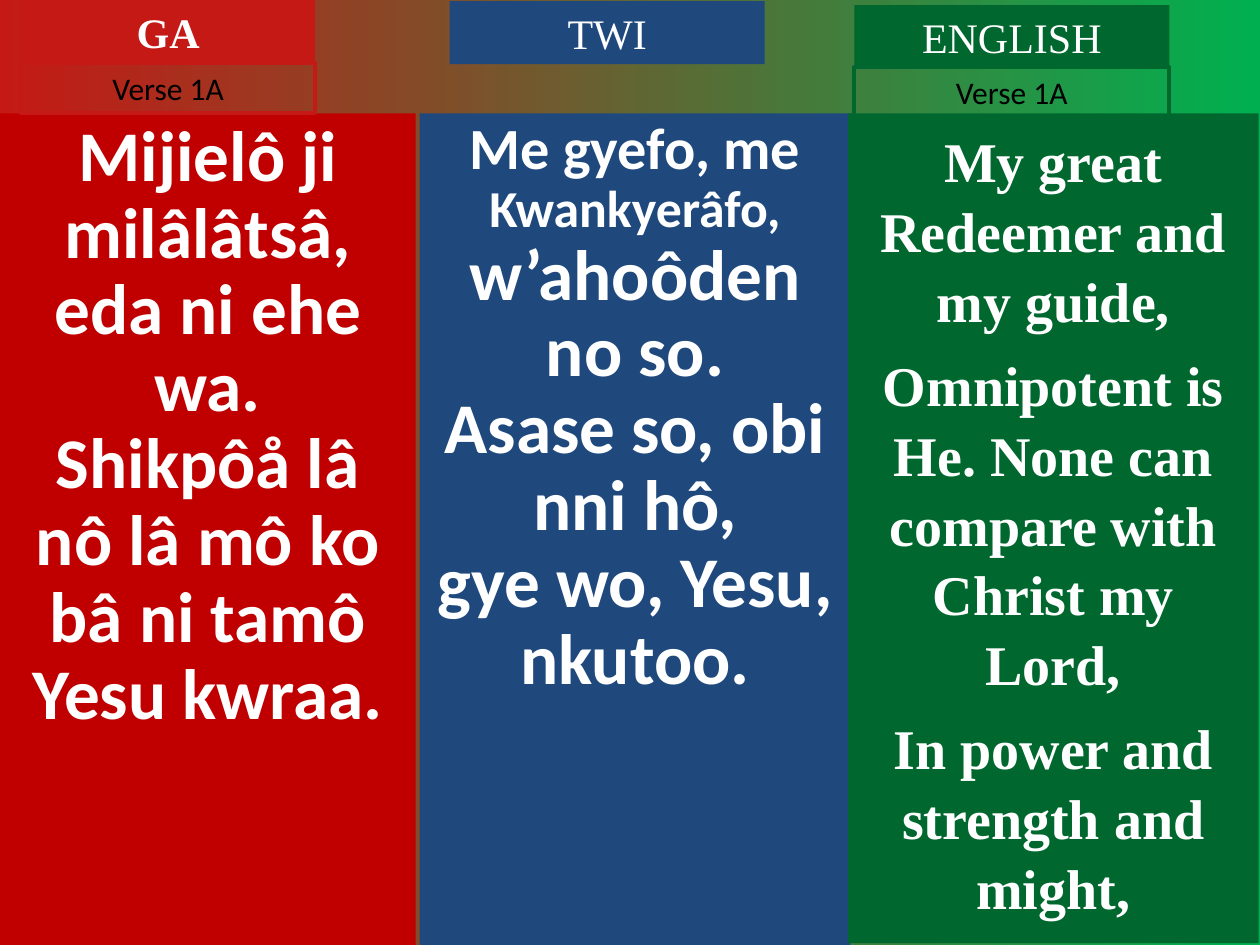
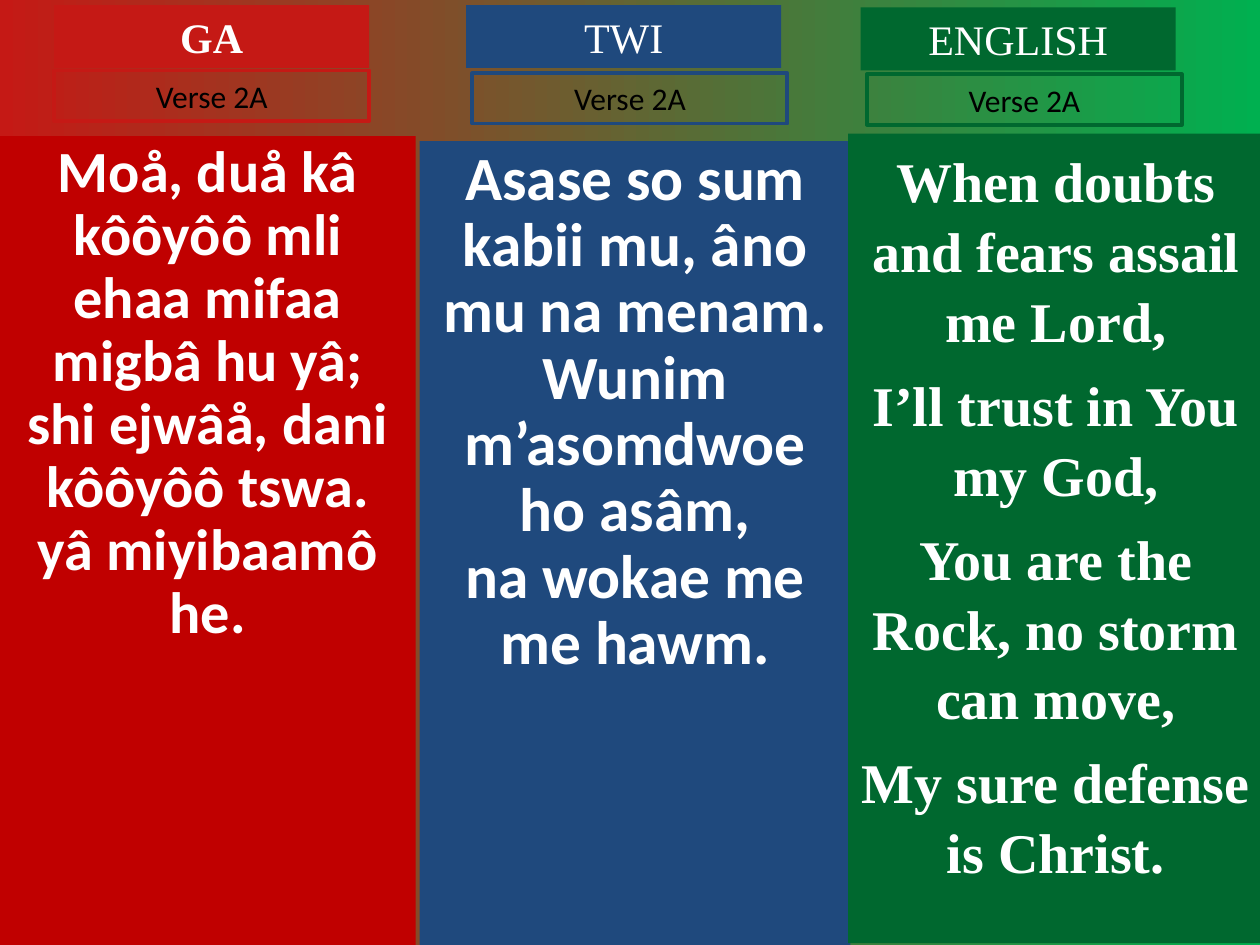
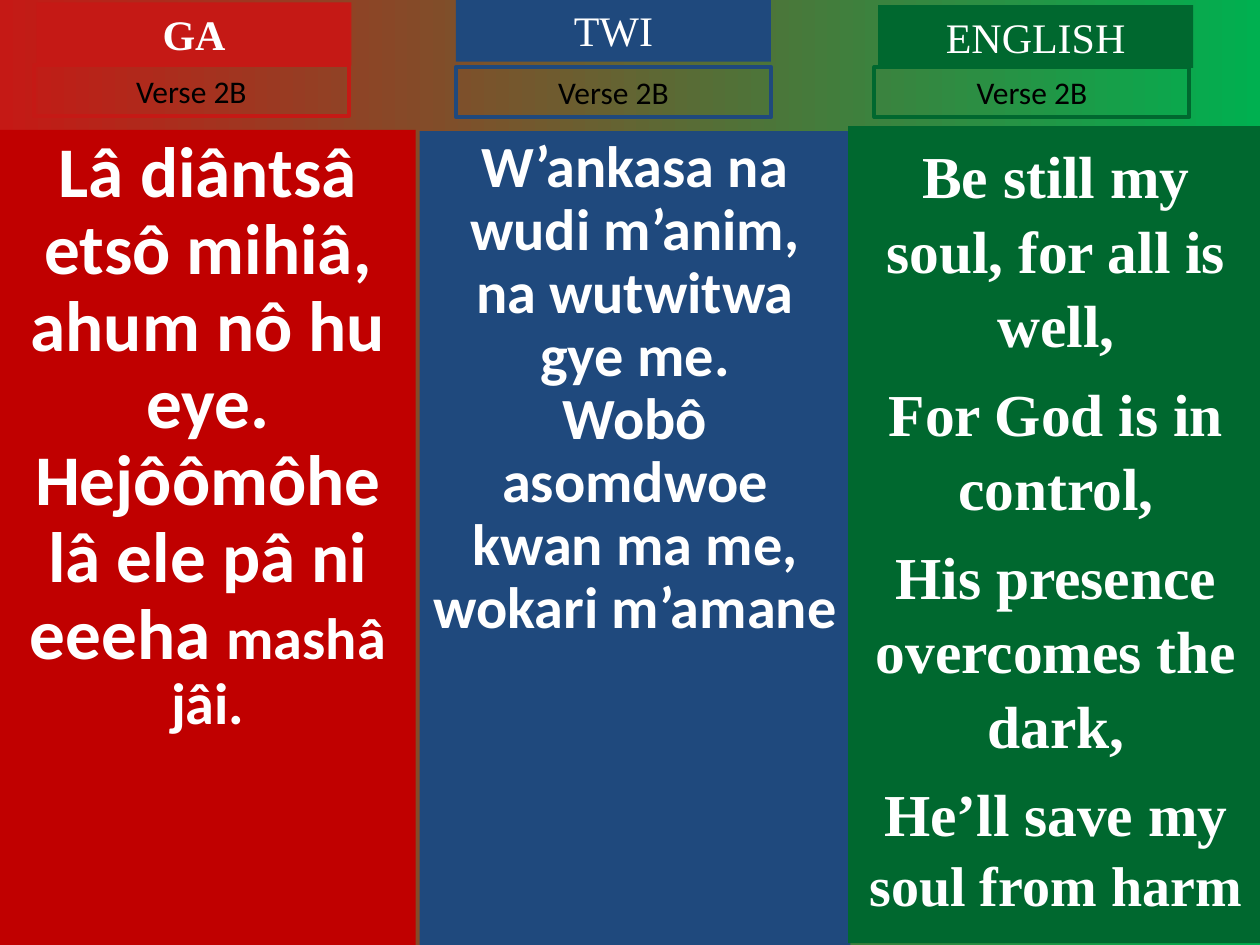
import pptx
import pptx.util
import pptx.dml.color
import pptx.enum.shapes
import pptx.enum.text

Pt = pptx.util.Pt

COLOURS = {
    "ga": "C51915", "ga_panel": "C00000", "twi": "1F497D", "english": "00682F",
    "sunrise": "C51915", "meadow": "00B050", "white": "FFFFFF", "black": "000000",
}
SANS, SERIF = "Calibri", "Times New Roman"
SLIDE_WIDTH, SLIDE_HEIGHT = 720, 540
HEAD_HEIGHT, VERSE_HEIGHT = 36, 28.8
HEAD_SIZE, VERSE_SIZE = 24, 18

COLUMNS = {
    "ga": {"title": "GA", "bold": True, "panel": "ga_panel", "left": 0, "width": 237.6,
           "bottom": 540, "font": SANS, "spacing": 0.9, "before": 0, "inset": (6, 3.6)},
    "twi": {"title": "TWI", "bold": False, "panel": "twi", "left": 239.8, "width": 246.2,
            "bottom": 540, "font": SANS, "spacing": 0.9, "before": 0, "inset": (6, 3.6)},
    "english": {"title": "ENGLISH", "bold": False, "panel": "english", "left": 484.6, "width": 237.6,
                "bottom": 539, "font": SERIF, "spacing": 1.04, "before": 0.25, "inset": (7.2, 6)},
}

SLIDES = [
    {"verse": "Verse 1A", "columns": {
        "ga": {"top": 64.8, "head": (12.2, 0, 167.8), "verse": (12.2, 36, 167.8), "size": 40.7, "lines": [
            "Mijielô ji milâlâtsâ,",
            "eda ni ehe wa.",
            "Shikpôå lâ nô lâ mô ko bâ ni tamô Yesu kwraa."]},
        "twi": {"top": 64.8, "head": (257, 0.7, 180), "size": 40.7, "lines": [
            [("Me gyefo, me ", 33.3), ("Kwankyerâfo,", 29.6)],
            "w’ahoôden no so.",
            "Asase so, obi nni hô,",
            "gye wo, Yesu, nkutoo."]},
        "english": {"top": 64.8, "width": 234.7, "head": (488.2, 2.9, 180), "verse": (488.2, 38.2, 180),
                    "size": 32, "lines": [
            "My great Redeemer and my guide,",
            "Omnipotent is He. None can compare with Christ my Lord,",
            "In power and strength and might,"]},
    }},
    {"verse": "Verse 2A", "columns": {
        "ga": {"top": 77.8, "head": (31, 2.9, 180), "verse": (31, 40.3, 180), "size": 33.3, "lines": [
            "Moå, duå kâ kôôyôô mli ehaa mifaa migbâ hu yâ;",
            "shi ejwâå, dani kôôyôô tswa.",
            "yâ miyibaamô he."]},
        "twi": {"top": 80.6, "head": (266.4, 2.9, 180), "verse": (270, 41.8, 180), "size": 35.1, "lines": [
            "Asase so sum kabii mu, âno mu na menam.",
            "Wunim m’asomdwoe ho asâm,",
            "na wokae me me hawm."]},
        "english": {"top": 76.3, "head": (491.8, 4.3, 180), "verse": (495.4, 42.5, 180), "size": 32, "lines": [
            "When doubts and fears assail me Lord,",
            "I’ll trust in You my God,",
            "You are the Rock, no storm can move,",
            "My sure defense is Christ."]},
    }},
    {"verse": "Verse 2B", "columns": {
        "ga": {"top": 74.2, "head": (20.9, 1.4, 180), "verse": (19.4, 37.4, 180), "size": 40.7, "lines": [
            "Lâ diântsâ etsô mihiâ,",
            "ahum nô hu eye.",
            [("Hejôômôhe lâ ele pâ ni eeeha ", 40.7), ("mashâ jâi.", 33.3)]]},
        "twi": {"top": 74.9, "head": (260.6, -0.7, 180), "verse": (260.6, 38.2, 180), "size": 33.3, "lines": [
            "W’ankasa na wudi m’anim,",
            "na wutwitwa gye me.",
            "Wobô asomdwoe kwan ma me, wokari m’amane"]},
        "english": {"top": 72, "head": (501.8, 2.9, 180), "verse": (499.7, 38.2, 180), "size": 34, "lines": [
            "Be still my soul, for all is well,",
            "For God is in control,",
            "His presence overcomes the dark,",
            [("He’ll save my ", 34), ("soul from harm", 32)]]},
    }},
]


def colour(name):
    return pptx.dml.color.RGBColor.from_string(COLOURS[name])


def paint_background(page):
    fill = page.background.fill
    fill.gradient()
    fill.gradient_angle = 0
    for stop, name, position in zip(fill.gradient_stops, ("sunrise", "meadow"), (0, 1)):
        stop.color.rgb = colour(name)
        stop.position = position


def add_box(page, left, top, width, height, fill=None, line=None, inset=(7.2, 3.6)):
    box = page.shapes.add_shape(pptx.enum.shapes.MSO_SHAPE.RECTANGLE,
                                Pt(left), Pt(top), Pt(width), Pt(height))
    box.shadow.inherit = False
    if fill:
        box.fill.solid()
        box.fill.fore_color.rgb = colour(fill)
    else:
        box.fill.background()
    if line:
        box.line.color.rgb = colour(line)
        box.line.width = Pt(2.25)
    else:
        box.line.fill.background()
    frame = box.text_frame
    frame.word_wrap = True
    frame.vertical_anchor = pptx.enum.text.MSO_ANCHOR.TOP
    frame.margin_left = frame.margin_right = Pt(inset[0])
    frame.margin_top = frame.margin_bottom = Pt(inset[1])
    return box


def write(box, lines, size, font, ink, bold=False, spacing=1.0, before=0):
    frame = box.text_frame
    for index, line in enumerate(lines):
        para = frame.add_paragraph() if index else frame.paragraphs[0]
        para.alignment = pptx.enum.text.PP_ALIGN.CENTER
        para.line_spacing = spacing
        spans = [(line, size)] if isinstance(line, str) else line
        if index and before:
            para.space_before = Pt(before * spans[-1][1])
        for words, span_size in spans:
            span = para.add_run()
            span.text = words
            span.font.size = Pt(span_size)
            span.font.name = font
            span.font.bold = bold
            span.font.color.rgb = colour(ink)


def add_panel(page, column, part):
    box = add_box(page, column["left"], part["top"], part.get("width", column["width"]),
                  column["bottom"] - part["top"], fill=column["panel"], inset=column["inset"])
    write(box, part["lines"], part["size"], column["font"], "white", True,
          column["spacing"], column["before"])


def add_labels(page, language, column, part, verse):
    if "verse" in part:
        left, top, width = part["verse"]
        box = add_box(page, left, top, width, VERSE_HEIGHT, line=language)
        write(box, [verse], VERSE_SIZE, SANS, "black")
    left, top, width = part["head"]
    box = add_box(page, left, top, width, HEAD_HEIGHT, fill=language)
    write(box, [column["title"]], HEAD_SIZE, SERIF, "white", column["bold"])


def main():
    deck = pptx.Presentation()
    deck.slide_width, deck.slide_height = Pt(SLIDE_WIDTH), Pt(SLIDE_HEIGHT)
    for slide in SLIDES:
        page = deck.slides.add_slide(deck.slide_layouts[6])
        paint_background(page)
        for language, part in slide["columns"].items():
            add_panel(page, COLUMNS[language], part)
        for language, part in slide["columns"].items():
            add_labels(page, language, COLUMNS[language], part, slide["verse"])
    deck.save("out.pptx")


if __name__ == "__main__":
    main()
